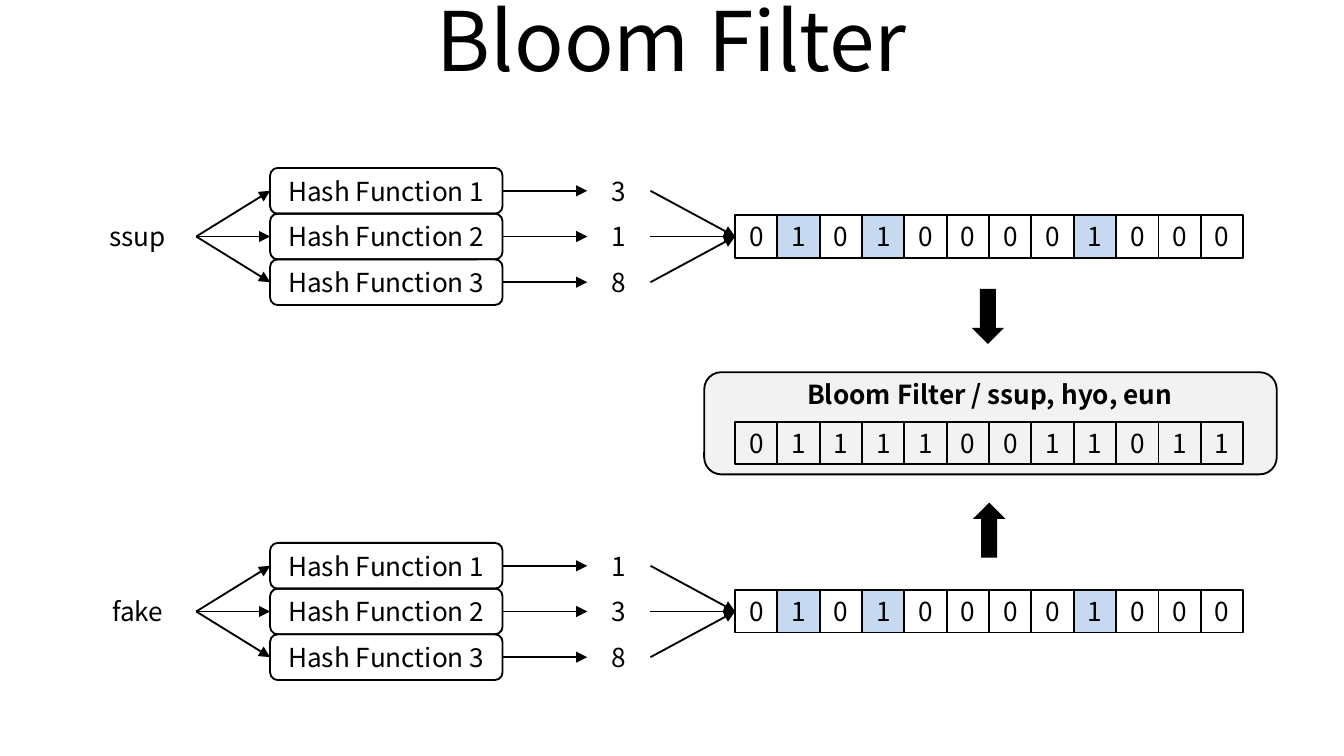
import pptx
import pptx.dml.color
import pptx.enum.shapes
import pptx.enum.text
import pptx.util
from lxml import etree
from pptx.oxml.ns import qn
from pptx.util import Inches

COLORS = {"black": "000000", "set_bit": "C6D9F1", "panel": "F2F2F2"}
FONT = "Noto Sans CJK KR"
ROW_H = 0.34
ARRAY_LEFT = 5.47
CELL = 3.78 / 12
SHAPES = pptx.enum.shapes.MSO_SHAPE


def rgb(name):
    return pptx.dml.color.RGBColor.from_string(COLORS[name])


def write(tf, text, size=14, bold=False, margin=0.05):
    tf.word_wrap = True
    tf.vertical_anchor = pptx.enum.text.MSO_ANCHOR.MIDDLE
    tf.margin_left = tf.margin_right = Inches(margin)
    tf.margin_top = tf.margin_bottom = 0
    p = tf.paragraphs[0]
    p.alignment = pptx.enum.text.PP_ALIGN.CENTER
    r = p.add_run()
    r.text = text
    r.font.name = FONT
    r.font.size = pptx.util.Pt(size)
    r.font.bold = bold
    r.font.color.rgb = rgb("black")


def add_title(s, text):
    sp = s.shapes.title
    sp.left, sp.top = Inches(0.5), Inches(-0.18)
    sp.width, sp.height = Inches(9), Inches(0.94)
    write(sp.text_frame, text, size=44)


def add_label(s, text, x, y, w, bold=False):
    sp = s.shapes.add_textbox(Inches(x), Inches(y), Inches(w), Inches(ROW_H))
    write(sp.text_frame, text, bold=bold)
    return sp


def add_box(s, kind, x, y, w, h, text=None, fill=None, margin=0.05):
    sp = s.shapes.add_shape(kind, Inches(x), Inches(y), Inches(w), Inches(h))
    sp.shadow.inherit = False
    if fill:
        sp.fill.solid()
        sp.fill.fore_color.rgb = rgb(fill)
    else:
        sp.fill.background()
    sp.line.color.rgb = rgb("black")
    sp.line.width = pptx.util.Pt(1)
    if text:
        write(sp.text_frame, text, margin=margin)
    return sp


def add_bits(s, y, bits, set_fill=None):
    return [
        add_box(s, SHAPES.RECTANGLE, ARRAY_LEFT + i * CELL, y, CELL, CELL,
                bit, set_fill if bit == "1" else None, margin=0)
        for i, bit in enumerate(bits)
    ]


def connect(s, start, end):
    c = s.shapes.add_connector(pptx.enum.shapes.MSO_CONNECTOR.STRAIGHT, 0, 0, 0, 0)
    c.begin_connect(start, 3)
    c.end_connect(end, 1)
    c.line.color.rgb = rgb("black")
    c.line.width = pptx.util.Pt(1)
    ln = c.line._get_or_add_ln()
    etree.SubElement(ln, qn("a:tailEnd"), type="triangle")
    etree.SubElement(c._element.spPr, qn("a:effectLst"))


def add_lookup(s, top, word, hashes):
    middle = top + 1.5 * ROW_H
    word_label = add_label(s, word, 0.59, top + ROW_H, 0.87)
    cells = add_bits(s, middle - CELL / 2, "010100001000", "set_bit")
    for i, value in enumerate(hashes):
        y = top + i * ROW_H
        function = add_box(s, SHAPES.ROUNDED_RECTANGLE, 2.01, y, 1.73, ROW_H,
                           f"Hash Function {i + 1}")
        number = add_label(s, value, 4.37, y, 0.47)
        connect(s, word_label, function)
        connect(s, function, number)
        connect(s, number, cells[0])


def add_filter(s):
    add_box(s, SHAPES.ROUNDED_RECTANGLE, 5.24, 2.77, 4.26, 0.76, fill="panel")
    add_bits(s, 3.14, "011110011011")
    add_label(s, "Bloom Filter / ssup, hyo, eun", 5.87, 2.76, 2.99, bold=True)


def add_block_arrow(s, x, y, rotation=0):
    sp = add_box(s, SHAPES.UP_ARROW, x, y, 0.24, 0.41, fill="black")
    sp.line.fill.background()
    sp.rotation = rotation


def main():
    prs = pptx.Presentation()
    prs.slide_width = Inches(10)
    prs.slide_height = prs.slide_width * 9 // 16
    s = prs.slides.add_slide(prs.slide_layouts[5])
    add_title(s, "Bloom Filter")
    add_lookup(s, 1.25, "ssup", "318")
    add_filter(s)
    add_lookup(s, 4.04, "fake", "138")
    add_block_arrow(s, 7.24, 3.74)
    add_block_arrow(s, 7.23, 2.15, rotation=180)
    prs.save("out.pptx")


if __name__ == "__main__":
    main()
